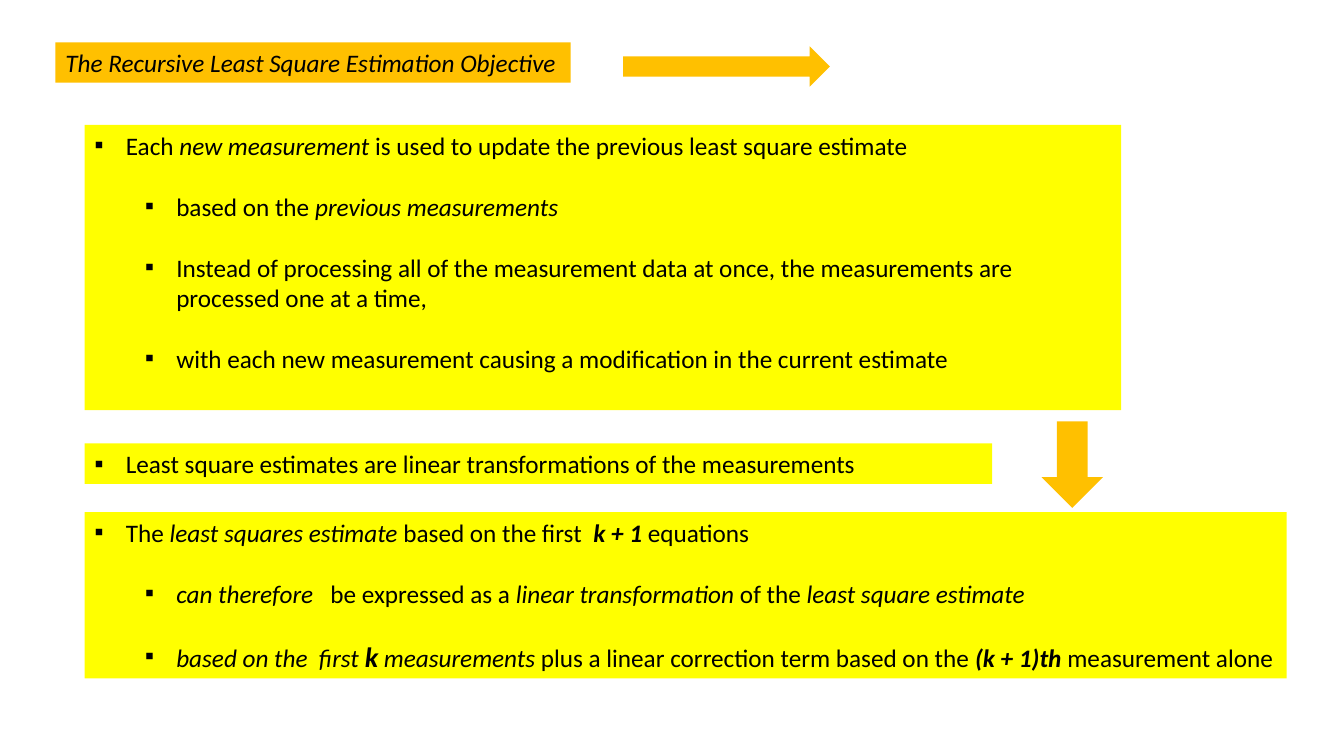
"""Builds the slide on the recursive least square estimation objective."""
from lxml import etree
from pptx import Presentation
from pptx.dml.color import RGBColor
from pptx.enum.shapes import MSO_SHAPE
from pptx.oxml.ns import qn
from pptx.util import Inches, Pt

RIGHT_ARROW = MSO_SHAPE.RIGHT_ARROW
DOWN_ARROW = MSO_SHAPE.DOWN_ARROW
YELLOW = RGBColor(0xFF, 0xFF, 0x00)
ORANGE = RGBColor(0xFF, 0xC0, 0x00)
BLACK = RGBColor(0x00, 0x00, 0x00)
FONT = "Calibri"
TEXT_SIZE = Pt(18)
ITEM_GAP = Pt(22)
HANGING = 0.31
LEVEL_STEP = 0.5
PLAIN, ITALIC, STRONG, LARGE = "plain", "italic", "strong", "large"

TITLE = [("The Recursive Least Square Estimation Objective", ITALIC)]
UPDATE_ITEMS = [
    (0, [("Each ", PLAIN), ("new measurement ", ITALIC),
         ("is used to update the previous least square estimate", PLAIN)]),
    (1, [("based on the ", PLAIN), ("previous measurements", ITALIC)]),
    (1, [("Instead of processing all of the measurement data at once, the "
          "measurements are processed one at a time,", PLAIN)]),
    (1, [("with each new measurement causing a modification in the current "
          "estimate", PLAIN)]),
]
LINEARITY_ITEMS = [
    (0, [("Least square estimates are linear transformations of the "
          "measurements", PLAIN)]),
]
CORRECTION_ITEMS = [
    (0, [("The ", PLAIN), ("least squares estimate ", ITALIC),
         ("based on the first  ", PLAIN), ("k + 1 ", STRONG),
         ("equations", PLAIN)]),
    (1, [("can therefore   ", ITALIC), ("be expressed as a ", PLAIN),
         ("linear transformation ", ITALIC), ("of the ", PLAIN),
         ("least square estimate", ITALIC)]),
    (1, [("based on the  first ", ITALIC), ("k", LARGE),
         (" measurements ", ITALIC),
         ("plus a linear correction term based on the ", PLAIN),
         ("(k + 1)th ", STRONG), ("measurement alone", PLAIN)]),
]


def add_panel(slide, box, color):
    """Add a filled text panel and return its text frame."""
    panel = slide.shapes.add_textbox(*map(Inches, box))
    panel.fill.solid()
    panel.fill.fore_color.rgb = color
    panel.text_frame.word_wrap = True
    return panel.text_frame


def write_runs(paragraph, pieces):
    """Write styled pieces of text into a paragraph."""
    paragraph.font.name = FONT
    paragraph.font.size = TEXT_SIZE
    paragraph.font.color.rgb = BLACK
    for text, style in pieces:
        run = paragraph.add_run()
        run.text = text
        if style != PLAIN:
            run.font.italic = True
        if style in (STRONG, LARGE):
            run.font.bold = True
        if style == LARGE:
            run.font.size = Pt(20)


def set_bullet(paragraph, level):
    """Give a paragraph a square bullet with a hanging indent."""
    paragraph.level = level
    properties = paragraph._p.get_or_add_pPr()
    properties.set("marL", str(Inches(HANGING + level * LEVEL_STEP)))
    properties.set("indent", str(-Inches(HANGING)))
    etree.SubElement(properties, qn("a:buFont")).set("typeface", FONT)
    etree.SubElement(properties, qn("a:buChar")).set("char", "▪")


def add_title(slide, box):
    """Add the orange title panel."""
    write_runs(add_panel(slide, box, ORANGE).paragraphs[0], TITLE)


def add_bullet_panel(slide, box, items):
    """Add a yellow panel of bulleted items."""
    frame = add_panel(slide, box, YELLOW)
    for index, (level, pieces) in enumerate(items):
        paragraph = frame.add_paragraph() if index else frame.paragraphs[0]
        set_bullet(paragraph, level)
        if index:
            paragraph.space_before = ITEM_GAP
        write_runs(paragraph, pieces)


def add_arrow(slide, box, direction):
    """Add an orange block arrow."""
    arrow = slide.shapes.add_shape(direction, *map(Inches, box))
    arrow.shadow.inherit = False
    arrow.fill.solid()
    arrow.fill.fore_color.rgb = ORANGE
    arrow.line.fill.background()


def main():
    """Build and save the slide."""
    deck = Presentation()
    deck.slide_width, deck.slide_height = Inches(13.33), Inches(7.5)
    slide = deck.slides.add_slide(deck.slide_layouts[6])
    add_bullet_panel(slide, (0.84, 1.24, 10.28, 2.83), UPDATE_ITEMS)
    add_bullet_panel(slide, (0.84, 5.08, 11.92, 1.65), CORRECTION_ITEMS)
    add_arrow(slide, (10.33, 4.18, 0.61, 0.86), DOWN_ARROW)
    add_title(slide, (0.55, 0.42, 5.11, 0.4))
    add_bullet_panel(slide, (0.84, 4.4, 9, 0.4), LINEARITY_ITEMS)
    add_arrow(slide, (6.18, 0.46, 2.05, 0.4), RIGHT_ARROW)
    deck.save("out.pptx")


if __name__ == "__main__":
    main()
